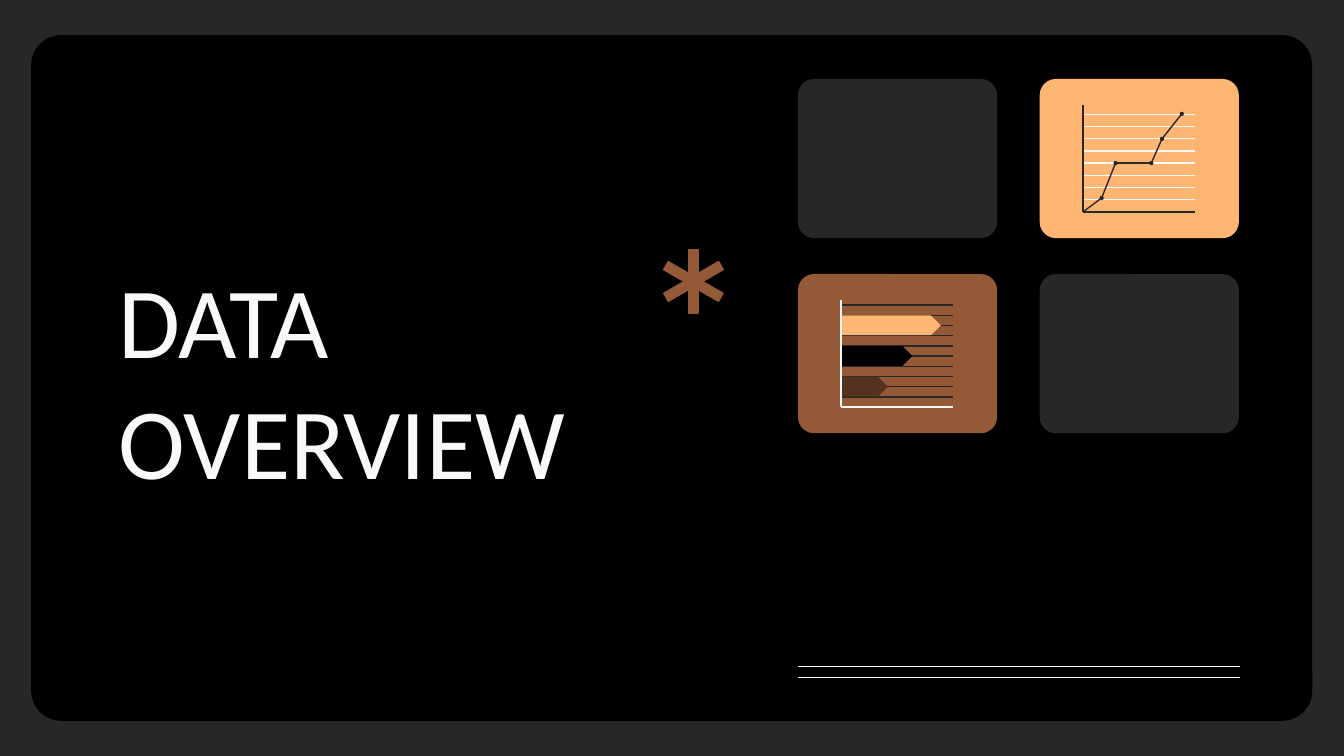
from dataclasses import dataclass
from itertools import pairwise

from lxml import etree
from pptx import Presentation
from pptx.dml.color import RGBColor
from pptx.enum import shapes, text
from pptx.oxml.ns import qn
from pptx.util import Pt


@dataclass(frozen=True)
class Theme:
    font: str = "Calibri"
    title_size: float = 54
    line_width: float = 0.75
    dark: str = "272727"
    black: str = "000000"
    light: str = "F9F9F9"
    orange: str = "FFB673"
    brown: str = "945937"
    deep_brown: str = "53321F"


@dataclass(frozen=True)
class Box:
    left: float
    top: float
    width: float
    height: float


@dataclass(frozen=True)
class Point:
    x: float
    y: float


@dataclass(frozen=True)
class Card:
    column: int
    row: int
    color: str


@dataclass(frozen=True)
class Bar:
    grid_step: int
    length: float
    color: str


THEME = Theme()
SHAPE = shapes.MSO_SHAPE

PANEL = Box(16.7, 18.8, 686.3, 367.4)
TITLE = Box(56.2, 133.9, 292.3, 137.5)
FIRST_CARD = Box(427.5, 42.3, 106.7, 85.3)
CARD_PITCH = Point(129.5, 104.5)
CARD_RADIUS = 0.102

LINE_CARD = Card(1, 0, THEME.orange)
BAR_CARD = Card(0, 1, THEME.brown)
CARDS = [LINE_CARD, Card(0, 0, THEME.dark), Card(1, 1, THEME.dark), BAR_CARD]

AXIS_OFFSET = Point(23.1, 71.3)
AXIS_WIDTH = 60.1
AXIS_HEIGHT = 57.3
LINE_GRID_STEP = 6.55
BAR_GRID_STEP = 5.47
BAR_THICKNESS = 10.6
DOT_SIZE = 1.5

TREND = [Point(10.1, 7.5), Point(17.5, 26.2), Point(36.7, 26.2),
         Point(42.4, 39.2), Point(53, 52.6)]
BARS = [Bar(8, 53.4, THEME.orange), Bar(5, 38.2, THEME.black),
        Bar(2, 25, THEME.deep_brown)]

ASTERISK_CENTER = Point(371.5, 150.8)
ASTERISK_ARM = Point(5, 34)
RULE_LEFT, RULE_RIGHT = 427.5, 664.3
RULE_TOPS = (357.2, 362.9)


def rgb(color: str) -> RGBColor:
    return RGBColor.from_string(color)


def draw_shape(slide, kind, box: Box, color: str, *, outlined: bool = False,
               rotation: float = 0, adjustments: tuple = ()):
    shape = slide.shapes.add_shape(
        kind, Pt(box.left), Pt(box.top), Pt(box.width), Pt(box.height))
    shape.shadow.inherit = False
    shape.fill.solid()
    shape.fill.fore_color.rgb = rgb(color)
    if outlined:
        shape.line.color.rgb = rgb(color)
        shape.line.width = Pt(THEME.line_width)
    else:
        shape.line.fill.background()
    shape.rotation = rotation
    for index, value in enumerate(adjustments):
        shape.adjustments[index] = value
    return shape


def draw_line(slide, start: Point, end: Point, color: str) -> None:
    connector = slide.shapes.add_connector(
        shapes.MSO_CONNECTOR.STRAIGHT,
        Pt(start.x), Pt(start.y), Pt(end.x), Pt(end.y))
    connector.line.color.rgb = rgb(color)
    connector.line.width = Pt(THEME.line_width)
    etree.SubElement(connector.element.spPr, qn("a:effectLst"))


def write_text(shape, content: str, *, size: float, color: str,
               align=text.PP_ALIGN.LEFT, anchor=text.MSO_ANCHOR.MIDDLE,
               inset: float = 7.2) -> None:
    frame = shape.text_frame
    frame.word_wrap = True
    frame.auto_size = text.MSO_AUTO_SIZE.NONE
    frame.vertical_anchor = anchor
    frame.margin_left = frame.margin_right = Pt(inset)
    frame.margin_top = frame.margin_bottom = Pt(inset)
    paragraph = frame.paragraphs[0]
    paragraph.alignment = align
    run = paragraph.add_run()
    run.text = content
    run.font.name = THEME.font
    run.font.size = Pt(size)
    run.font.color.rgb = rgb(color)


def draw_title(slide) -> None:
    title = slide.shapes.title
    title.left, title.top = Pt(TITLE.left), Pt(TITLE.top)
    title.width, title.height = Pt(TITLE.width), Pt(TITLE.height)
    write_text(title, "DATA OVERVIEW", size=THEME.title_size, color=THEME.light)
    panel = draw_shape(slide, SHAPE.ROUNDED_RECTANGLE, PANEL, THEME.black,
                       adjustments=(0.044,))
    title.element.addprevious(panel.element)


def card_box(card: Card) -> Box:
    return Box(FIRST_CARD.left + card.column * CARD_PITCH.x,
               FIRST_CARD.top + card.row * CARD_PITCH.y,
               FIRST_CARD.width, FIRST_CARD.height)


def axis_origin(card: Card) -> Point:
    box = card_box(card)
    return Point(box.left + AXIS_OFFSET.x, box.top + AXIS_OFFSET.y)


def draw_horizontal(slide, start: Point, color: str) -> None:
    draw_line(slide, start, Point(start.x + AXIS_WIDTH, start.y), color)


def draw_grid(slide, origin: Point, step: float, count: int, color: str) -> None:
    for index in range(1, count + 1):
        draw_horizontal(slide, Point(origin.x, origin.y - index * step), color)


def draw_axes(slide, origin: Point, color: str) -> None:
    draw_horizontal(slide, origin, color)
    draw_line(slide, origin, Point(origin.x, origin.y - AXIS_HEIGHT), color)


def draw_line_icon(slide) -> None:
    origin = axis_origin(LINE_CARD)
    draw_grid(slide, origin, LINE_GRID_STEP, 8, THEME.light)
    draw_axes(slide, origin, THEME.dark)
    dots = [Point(origin.x + point.x, origin.y - point.y) for point in TREND]
    for start, end in pairwise([origin, *dots]):
        draw_line(slide, start, end, THEME.dark)
    for dot in dots:
        box = Box(dot.x - DOT_SIZE / 2, dot.y - DOT_SIZE / 2, DOT_SIZE, DOT_SIZE)
        draw_shape(slide, SHAPE.OVAL, box, THEME.dark, outlined=True)


def draw_bar_icon(slide) -> None:
    origin = axis_origin(BAR_CARD)
    draw_grid(slide, origin, BAR_GRID_STEP, 10, THEME.dark)
    for bar in BARS:
        middle = origin.y - bar.grid_step * BAR_GRID_STEP
        box = Box(origin.x + (bar.length - BAR_THICKNESS) / 2,
                  middle - bar.length / 2, BAR_THICKNESS, bar.length)
        draw_shape(slide, SHAPE.SNIP_2_SAME_RECTANGLE, box, bar.color,
                   rotation=90, adjustments=(0.5, 0))
    draw_axes(slide, origin, THEME.light)


def draw_asterisk(slide) -> None:
    box = Box(ASTERISK_CENTER.x - ASTERISK_ARM.x / 2,
              ASTERISK_CENTER.y - ASTERISK_ARM.y / 2,
              ASTERISK_ARM.x, ASTERISK_ARM.y)
    for rotation in (0, 300, 60):
        draw_shape(slide, SHAPE.RECTANGLE, box, THEME.brown,
                   outlined=True, rotation=rotation)


def main() -> None:
    presentation = Presentation()
    presentation.slide_width, presentation.slide_height = Pt(720), Pt(405)
    slide = presentation.slides.add_slide(presentation.slide_layouts[5])
    slide.background.fill.solid()
    slide.background.fill.fore_color.rgb = rgb(THEME.dark)
    draw_title(slide)
    for top in RULE_TOPS:
        draw_line(slide, Point(RULE_RIGHT, top), Point(RULE_LEFT, top), THEME.light)
    draw_asterisk(slide)
    for card in CARDS:
        draw_shape(slide, SHAPE.ROUNDED_RECTANGLE, card_box(card), card.color,
                   adjustments=(CARD_RADIUS,))
    draw_line_icon(slide)
    draw_bar_icon(slide)
    presentation.save("out.pptx")


if __name__ == "__main__":
    main()
